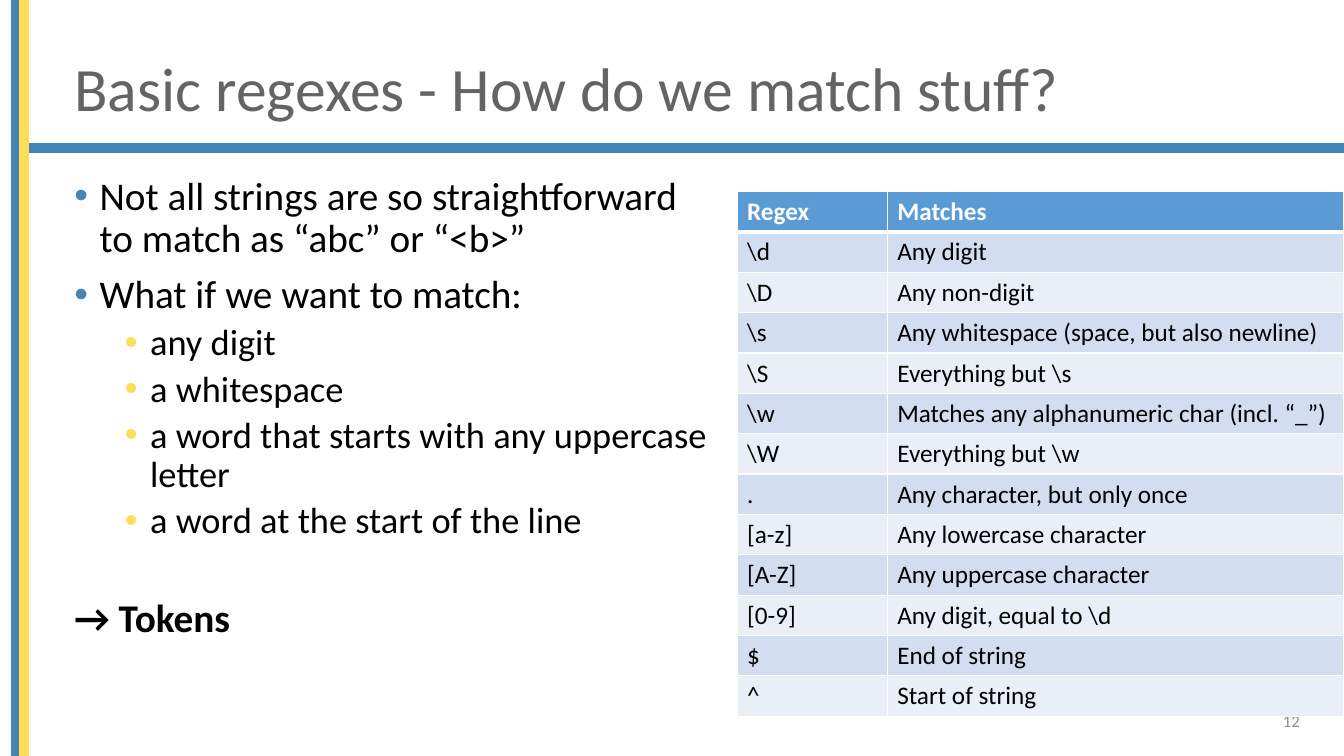
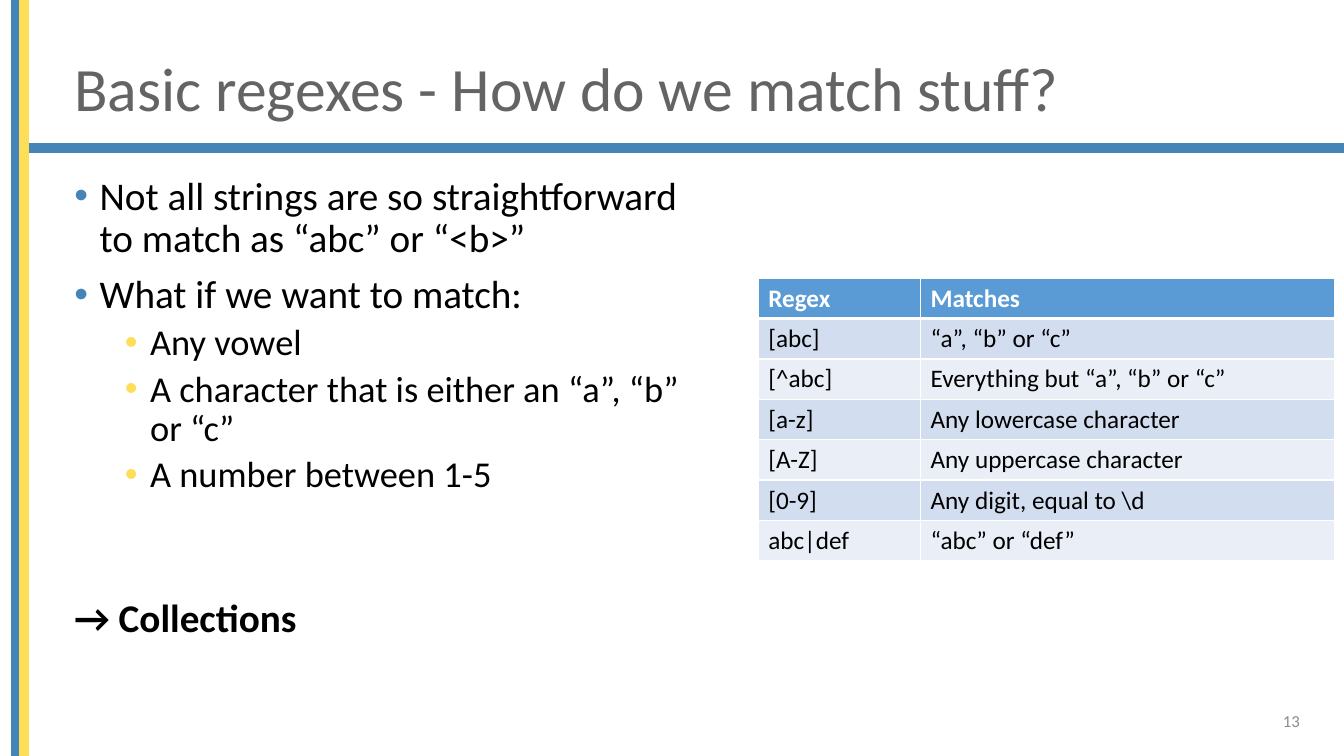
"""Build two slides on basic regexes, each with bullets and a table."""
import dataclasses

import lxml.etree
import pptx
import pptx.dml.color
import pptx.enum.shapes
import pptx.enum.text
import pptx.oxml.ns
import pptx.util

Inches = pptx.util.Inches
Pt = pptx.util.Pt
qn = pptx.oxml.ns.qn
Anchor = pptx.enum.text.MSO_ANCHOR
Align = pptx.enum.text.PP_ALIGN


@dataclasses.dataclass(frozen=True)
class Theme:
    """Hold the colours, type sizes and font of the deck."""

    font: str = "Calibri"
    blue: str = "4584B6"
    gold: str = "FFDE57"
    gray: str = "646464"
    pale: str = "8C8C8C"
    ink: str = "000000"
    white: str = "FFFFFF"
    head: str = "5B9BD5"
    rows: tuple = ("D2DEEF", "EAEFF7")
    title: int = 44
    body: int = 28
    sub: int = 26
    cell: int = 18
    foot: int = 12


THEME = Theme()
TITLE = "Basic regexes - How do we match stuff?"
LEAD = (
    "Not all strings are so straightforward to match as “abc” or “<b>”",
    "What if we want to match:",
)
HEAD = ("Regex", "Matches")
RANGES = (
    ("[a-z]", "Any lowercase character"),
    ("[A-Z]", "Any uppercase character"),
    ("[0-9]", "Any digit, equal to \\d"),
)
TOKENS = (
    HEAD,
    ("\\d", "Any digit"),
    ("\\D", "Any non-digit"),
    ("\\s", "Any whitespace (space, but also newline)"),
    ("\\S", "Everything but \\s"),
    ("\\w", "Matches any alphanumeric char (incl. “_”)"),
    ("\\W", "Everything but \\w"),
    (".", "Any character, but only once"),
    *RANGES,
    ("$", "End of string"),
    ("^", "Start of string"),
)
GROUPS = (
    HEAD,
    ("[abc]", "“a”, “b” or “c”"),
    ("[^abc]", "Everything but “a”, “b” or “c”"),
    *RANGES,
    ("abc|def", "“abc” or “def”"),
)
SLIDES = (
    {
        "page": 12,
        "items": (
            "any digit",
            "a whitespace",
            "a word that starts with any uppercase letter",
            "a word at the start of the line",
        ),
        "close": "→ Tokens",
        "gap": 41,
        "rows": TOKENS,
        "spot": (7.31, 1.9),
        "cols": (1.49, 4.53),
    },
    {
        "page": 13,
        "items": (
            "Any vowel",
            "A character that is either an “a”, “b” or “c”",
            "A number between 1-5",
        ),
        "close": "→ Collections",
        "gap": 74,
        "rows": GROUPS,
        "spot": (7.52, 2.76),
        "cols": (1.61, 4.11),
    },
)


def rgb(code):
    """Turn a hex code into a colour."""
    return pptx.dml.color.RGBColor.from_string(code)


def apply(target, values):
    """Set each attribute named in a dict of format values."""
    for name, value in values.items():
        setattr(target, name, value)


def write(para, text, size, color, bold=False):
    """Add one styled run to a paragraph."""
    run = para.add_run()
    run.text = text
    apply(run.font, {"name": THEME.font, "size": Pt(size), "bold": bold})
    run.font.color.rgb = rgb(color)


def add_box(slide, place, anchor=Anchor.TOP):
    """Add a wrapping text box and return its frame."""
    frame = slide.shapes.add_textbox(*map(Inches, place)).text_frame
    apply(frame, {"word_wrap": True, "vertical_anchor": anchor})
    return frame


def add_band(slide, place, color):
    """Add one solid band."""
    kind = pptx.enum.shapes.MSO_SHAPE.RECTANGLE
    band = slide.shapes.add_shape(kind, *map(Inches, place))
    band.shadow.inherit = False
    band.fill.solid()
    band.fill.fore_color.rgb = rgb(color)
    band.line.color.rgb = rgb(color)
    band.line.width = Pt(1)


def add_frame(slide, page):
    """Add the bands, title and page number that all slides share."""
    add_band(slide, (0.2, 1.43, 13.13, 0.08), THEME.blue)
    add_band(slide, (0.12, 0, 0.08, 7.5), THEME.blue)
    add_band(slide, (0.2, 0, 0.08, 7.5), THEME.gold)
    para = add_box(slide, (0.64, 0.4, 11.78, 1.01), Anchor.MIDDLE).paragraphs[0]
    para.line_spacing = 0.9
    write(para, TITLE, THEME.title, THEME.gray)
    para = add_box(slide, (9.99, 6.95, 3, 0.4), Anchor.MIDDLE).paragraphs[0]
    para.alignment = Align.RIGHT
    write(para, str(page), THEME.foot, THEME.pale)


def add_bullet(para, color, left):
    """Give a paragraph a coloured bullet and a hanging indent."""
    props = para._p.get_or_add_pPr()
    props.set("marL", str(Inches(left)))
    props.set("indent", str(Inches(-0.25)))
    tint = lxml.etree.SubElement(props, qn("a:buClr"))
    lxml.etree.SubElement(tint, qn("a:srgbClr"), val=color)
    lxml.etree.SubElement(props, qn("a:buFont"), typeface="Arial")
    lxml.etree.SubElement(props, qn("a:buChar"), char="•")


def add_body(slide, items, close, gap):
    """Add the lead bullets, their sub-items and the closing line."""
    frame = add_box(slide, (0.64, 1.7, 6.52, 5.06))
    lines = [(text, 0, 10) for text in LEAD]
    lines += [(text, 1, 5) for text in items]
    looks = ((THEME.blue, 0.25, THEME.body), (THEME.gold, 0.75, THEME.sub))
    for index, (text, level, space) in enumerate(lines):
        para = frame.add_paragraph() if index else frame.paragraphs[0]
        color, left, size = looks[level]
        add_bullet(para, color, left)
        before = Pt(space if index else 0)
        apply(para, {"level": level, "line_spacing": 0.9, "space_before": before})
        write(para, text, size, THEME.ink)
    para = frame.add_paragraph()
    apply(para, {"line_spacing": 0.9, "space_before": Pt(gap)})
    write(para, close, THEME.body, THEME.ink, True)


def add_edges(cell, top, bottom):
    """Draw white borders around a cell."""
    props = cell._tc.get_or_add_tcPr()
    sides = (("lnL", 1), ("lnR", 1), ("lnT", top), ("lnB", bottom))
    for index, (side, width) in enumerate(sides):
        edge = lxml.etree.Element(qn(f"a:{side}"), w=str(Pt(width)))
        fill = lxml.etree.SubElement(edge, qn("a:solidFill"))
        lxml.etree.SubElement(fill, qn("a:srgbClr"), val=THEME.white)
        props.insert(index, edge)


def fill_cell(cell, text, row):
    """Style and fill a cell by its row."""
    first = row == 0
    cell.fill.solid()
    cell.fill.fore_color.rgb = rgb(THEME.head if first else THEME.rows[(row - 1) % 2])
    color = THEME.white if first else THEME.ink
    write(cell.text_frame.paragraphs[0], text, THEME.cell, color, first)
    add_edges(cell, 3 if row == 1 else 1, 3 if first else 1)


def add_grid(slide, rows, spot, cols):
    """Add the table of regexes and what they match."""
    size = (sum(cols), 0.4 * len(rows))
    place = map(Inches, (*spot, *size))
    table = slide.shapes.add_table(len(rows), len(cols), *place).table
    table.horz_banding = False
    for column, width in zip(table.columns, cols):
        column.width = Inches(width)
    for row, texts in enumerate(rows):
        for col, text in enumerate(texts):
            fill_cell(table.cell(row, col), text, row)


def main():
    """Build and save the deck."""
    deck = pptx.Presentation()
    apply(deck, {"slide_width": Inches(13.33), "slide_height": Inches(7.5)})
    for data in SLIDES:
        slide = deck.slides.add_slide(deck.slide_layouts[6])
        add_frame(slide, data["page"])
        add_body(slide, data["items"], data["close"], data["gap"])
        add_grid(slide, data["rows"], data["spot"], data["cols"])
    deck.save("out.pptx")


if __name__ == "__main__":
    main()
